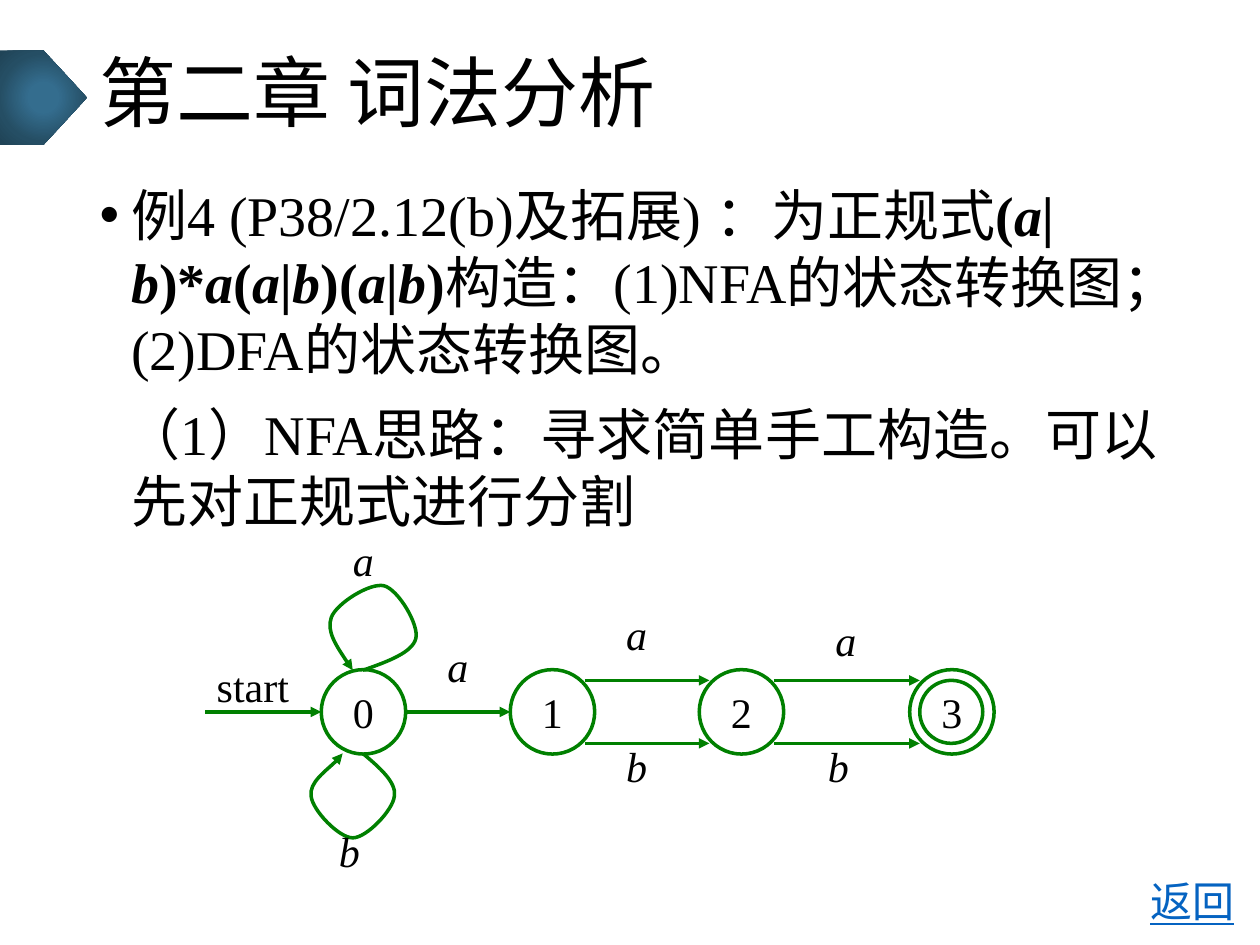
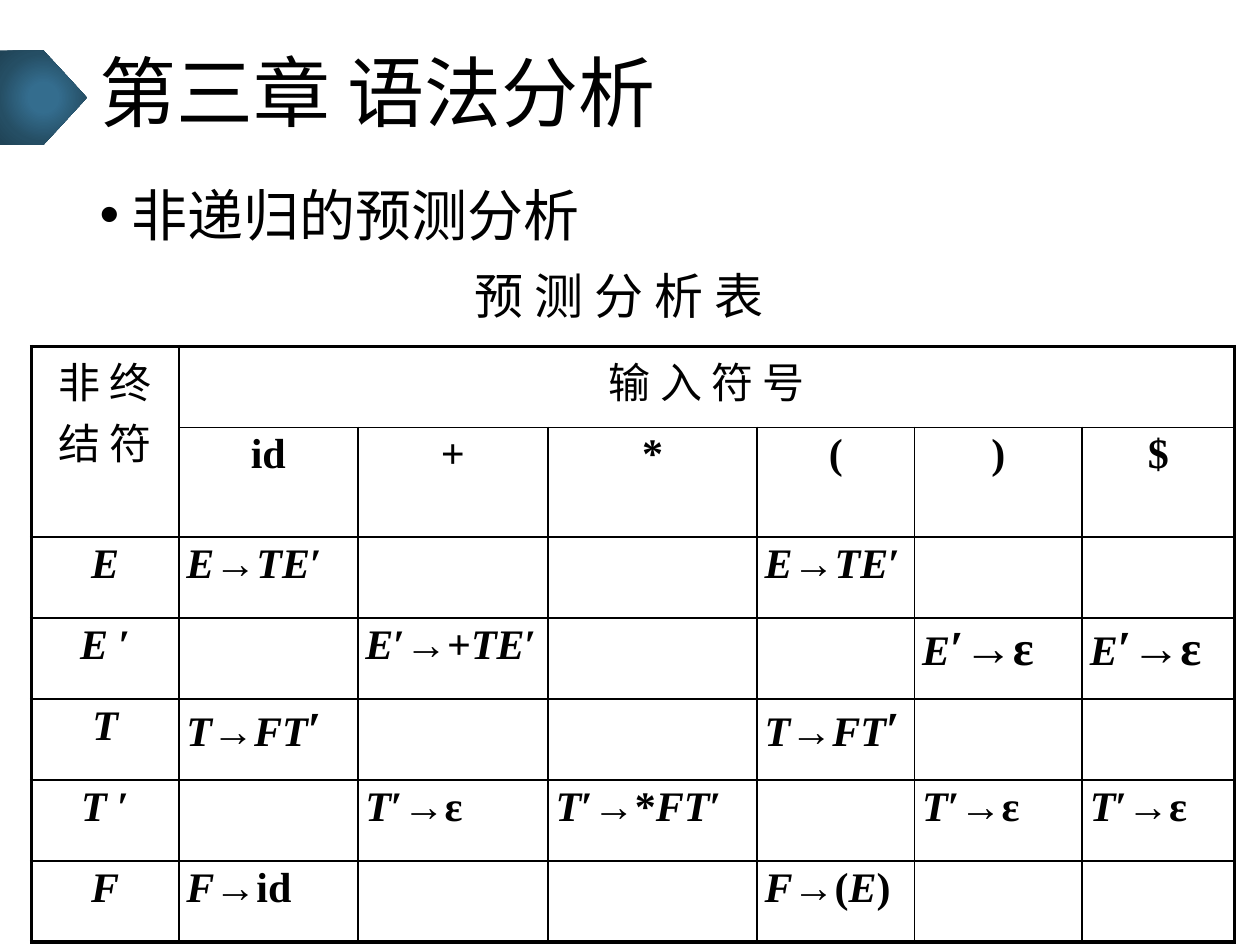
from itertools import groupby

from lxml.etree import SubElement
from pptx import Presentation
from pptx.dml.color import RGBColor
from pptx.enum.shapes import MSO_CONNECTOR as Connector, MSO_SHAPE as Shape
from pptx.enum.text import MSO_ANCHOR as Anchor, MSO_AUTO_SIZE as AutoSize, PP_ALIGN as Align
from pptx.oxml import parse_xml
from pptx.oxml.ns import nsdecls, qn
from pptx.util import Inches, Pt

FONT = "Times New Roman"
BLACK, GREEN, LINK = "000000", "008000", "0563C1"
BAND_STOPS = [(0, "346D8E"), (23, "346D8E"), (69, "254E64"), (97, "204457")]
TITLE_BOX = (0.69, 0.25, 8.62, 1.04)
BODY_BOX = (0.69, 1.38, 8.62, 5.38)


# Shared helpers
def color(code):
    return RGBColor.from_string(code)


def inches(*lengths):
    return [Inches(length) for length in lengths]


def set_font(font, size, code=BLACK, **flags):
    font.name, font.size = FONT, Pt(size)
    font.color.rgb = color(code)
    for flag, value in flags.items():
        setattr(font, flag, value)


def add_mixed_text(para, text, italic_chars):
    """Write runs, with italics for the given characters."""
    for italic, chars in groupby(text, lambda char: char in italic_chars):
        span = para.add_run()
        span.text = "".join(chars)
        span.font.italic = italic


def set_insets(target):
    target.margin_left = target.margin_right = Inches(0.06)
    target.margin_top = target.margin_bottom = Inches(0.03)


def add_label(page, text, box, size=24, align=Align.LEFT, wrap=False,
              code=BLACK, tight=True, **flags):
    label = page.shapes.add_textbox(*inches(*box))
    frame = label.text_frame
    frame.word_wrap = wrap
    frame.auto_size = AutoSize.SHAPE_TO_FIT_TEXT
    if tight:
        set_insets(frame)
    para = frame.paragraphs[0]
    para.text, para.alignment = text, align
    set_font(para.font, size, code, **flags)


def style_line(shape, arrow=False):
    shape.line.color.rgb = color(GREEN)
    shape.line.width = Pt(2)
    if arrow:
        SubElement(shape.line._get_or_add_ln(), qn("a:tailEnd"), type="triangle")


# Template: placeholder places and the arrow band on the master
def prepare_layout(deck):
    layout = deck.slide_layouts[1]
    for holder, box in zip(layout.placeholders, (TITLE_BOX, BODY_BOX)):
        holder.left, holder.top, holder.width, holder.height = inches(*box)
    return layout


def add_master_band(deck, page):
    band = page.shapes.add_shape(Shape.PENTAGON, *inches(0, 0.4, 0.69, 0.75))
    band.shadow.inherit = False
    band.line.fill.background()
    stops = "".join(f'<a:gs pos="{pos * 1000}"><a:srgbClr val="{code}"/></a:gs>'
                    for pos, code in BAND_STOPS)
    gradient = parse_xml(
        f'<a:gradFill {nsdecls("a")} rotWithShape="1"><a:gsLst>{stops}</a:gsLst>'
        '<a:path path="circle"><a:fillToRect l="50000" t="50000" r="50000" b="50000"/>'
        '</a:path></a:gradFill>')
    band.element.spPr.insert(2, gradient)
    band.element.nvSpPr.cNvPr.set("id", "20")
    deck.slide_master.shapes.element.append(band.element)


def add_page(deck, layout, title):
    page = deck.slides.add_slide(layout)
    frame = page.shapes.title.text_frame
    frame.vertical_anchor, frame.auto_size = Anchor.MIDDLE, AutoSize.NONE
    para = frame.paragraphs[0]
    para.text, para.alignment, para.line_spacing = title, Align.LEFT, 0.9
    set_font(para.font, 44)
    return page


def format_body_para(para, bullet):
    props = para._p.get_or_add_pPr()
    props.set("marL", str(Inches(0.25)))
    props.set("indent", str(Inches(-0.25 if bullet else -0.05)))
    para.line_spacing = 1.0
    para.space_before = Pt(0 if bullet else 10)
    if bullet:
        SubElement(props, qn("a:buFont"), typeface="Arial")
        SubElement(props, qn("a:buChar"), char="•")
    else:
        SubElement(props, qn("a:buNone"))
    set_font(para.font, 32)


def body_frame(page):
    frame = page.placeholders[1].text_frame
    frame.auto_size, frame.vertical_anchor = AutoSize.NONE, Anchor.TOP
    return frame


# Parts of the state diagram
def add_state(page, x, y, size, name=""):
    state = page.shapes.add_shape(Shape.OVAL, *inches(x, y, size, size))
    state.shadow.inherit = False
    state.fill.background()
    style_line(state)
    if name:
        frame = state.text_frame
        frame.word_wrap, frame.vertical_anchor = False, Anchor.MIDDLE
        set_insets(frame)
        para = frame.paragraphs[0]
        para.text, para.alignment = name, Align.CENTER
        set_font(para.font, 24)


def add_arrow(page, x1, x2, y):
    arrow = page.shapes.add_connector(Connector.STRAIGHT, *inches(x1, y, x2, y))
    style_line(arrow, arrow=True)
    SubElement(arrow.element.spPr, qn("a:effectLst"))


def add_loop(page, left, top, points):
    """Draw chained cubic curves; every third point is a joint."""
    placed = [inches(left + x, top + y) for x, y in points]
    builder = page.shapes.build_freeform(*placed[0])
    builder.add_line_segments(placed[1:], close=False)
    loop = builder.convert_to_shape()
    # Join each three straight segments into one curve
    segments = list(loop.element.iter(qn("a:lnTo")))
    outline = segments[0].getparent()
    for start in range(0, len(segments), 3):
        curve = SubElement(outline, qn("a:cubicBezTo"))
        for segment in segments[start:start + 3]:
            curve.append(segment[0])
            outline.remove(segment)
    loop.shadow.inherit = False
    loop.fill.background()
    style_line(loop, arrow=True)


def add_nfa(page, left, top):
    """Place the diagram; left and top are the start of the first arrow."""
    size, inner, edge = 0.67, 0.5, 0.08
    state_lefts = [left + x for x in (0.92, 2.42, 3.92, 5.59)]
    state_top = top - size / 2
    for number, x in enumerate(state_lefts):
        add_state(page, x, state_top, size, str(number))
    add_state(page, state_lefts[-1] + edge, top - inner / 2, inner)

    # Single arrows into states 0 and 1, double arrows into 2 and 3
    add_arrow(page, left, state_lefts[0], top)
    add_arrow(page, state_lefts[0] + size, state_lefts[1], top)
    for source, target in zip(state_lefts[1:], state_lefts[2:]):
        for y in (top - inner / 2, top + inner / 2):
            add_arrow(page, source + size - edge, target + edge, y)

    # Loops on state 0
    add_loop(page, left, top, [
        (1.25, -0.33), (1.45, -0.4), (1.64, -0.47), (1.67, -0.58),
        (1.7, -0.69), (1.53, -0.97), (1.42, -1), (1.31, -1.03),
        (1.04, -0.86), (1, -0.75), (0.96, -0.64), (1.06, -0.49), (1.17, -0.33)])
    add_loop(page, left, top, [
        (1.25, 0.33), (1.38, 0.44), (1.52, 0.56), (1.5, 0.67),
        (1.49, 0.78), (1.28, 1), (1.17, 1), (1.06, 1),
        (0.85, 0.78), (0.84, 0.67), (0.82, 0.56), (1.06, 0.39), (1.09, 0.33)])

    add_label(page, "start", (left + 0.03, top - 0.44, 0.78, 0.46))
    for text, x, y in [("a", 1.11, -1.44), ("b", 1, 0.87), ("a", 1.86, -0.6),
                       ("a", 3.28, -0.85), ("b", 3.28, 0.2),
                       ("a", 4.94, -0.8), ("b", 4.88, 0.2)]:
        add_label(page, text, (left + x, top + y, 0.28, 0.46), italic=True)


# Parts of the parsing table
HEADS = ["id", "+", "*", "(", ")", "$"]
PRODUCTIONS = [
    ["E", "E→TE′", "", "", "E→TE′", "", ""],
    ["E ′", "", "E′→+TE′", "", "", "E′→ε", "E′→ε"],
    ["T", "T→FT′", "", "", "T→FT′", "", ""],
    ["T ′", "", "T′→ε", "T′→*FT′", "", "T′→ε", "T′→ε"],
    ["F", "F→id", "", "", "F→(E)", "", ""],
]
# Characters set at 28 points, by row and column
LARGE_MARKS = {(3, 5): "′→ε", (3, 6): "′→ε", (4, 1): "′", (4, 4): "′"}
COLUMN_WIDTHS = [1.17, 1.42, 1.51, 1.66, 1.25, 1.33, 1.21]
ROW_HEIGHT = 4.5 / 7
ROW_HEIGHTS = [ROW_HEIGHT, 0.87] + [ROW_HEIGHT] * 5


def set_borders(cell, outer_sides):
    props = cell._tc.get_or_add_tcPr()
    for side in "LRTB":
        width = Pt(2.25 if side in outer_sides else 1)
        line = SubElement(props, qn(f"a:ln{side}"), w=str(width))
        fill = SubElement(line, qn("a:solidFill"))
        SubElement(fill, qn("a:srgbClr"), val=BLACK)


def fill_cell(cell, row, col, text):
    para = cell.text_frame.paragraphs[0]
    para.alignment = Align.CENTER if row < 2 or col == 0 else Align.LEFT
    set_font(para.font, 24, bold=row > 0)
    add_mixed_text(para, text, "EFT")
    for span in para.runs:
        if span.text[0] in LARGE_MARKS.get((row, col), ""):
            # The arrow before FT keeps the cell's size
            span.font.size = Pt(28)
    set_insets(cell)


def add_parsing_table(page, left, top):
    rows = [["非 终结 符", "输 入 符 号"] + [""] * 5, [""] + HEADS] + PRODUCTIONS
    size = (sum(COLUMN_WIDTHS), sum(ROW_HEIGHTS))
    table = page.shapes.add_table(len(rows), len(COLUMN_WIDTHS),
                                  *inches(left, top, *size)).table
    table.first_row = table.horz_banding = False
    for column, width in zip(table.columns, COLUMN_WIDTHS):
        column.width = Inches(width)
    for line, height in zip(table.rows, ROW_HEIGHTS):
        line.height = Inches(height)
    table.cell(0, 0).merge(table.cell(1, 0))
    table.cell(0, 1).merge(table.cell(0, 6))

    for row, texts in enumerate(rows):
        for col, text in enumerate(texts):
            cell = table.cell(row, col)
            edges = {"L": col == 0, "T": row == 0,
                     "R": col + cell.span_width == len(texts),
                     "B": row + cell.span_height == len(rows)}
            set_borders(cell, [side for side, outer in edges.items() if outer])
            cell.fill.background()
            if text:
                fill_cell(cell, row, col, text)


# Slides
def build_lexical_page(page):
    frame = body_frame(page)
    task, idea = frame.paragraphs[0], frame.add_paragraph()
    format_body_para(task, bullet=True)
    task.add_run().text = "例4 (P38/2.12(b)及拓展) ：为正规式"
    start = len(task.runs)
    add_mixed_text(task, "(a|b)*a(a|b)(a|b)", "a|b")
    for span in task.runs[start:]:
        span.font.bold = True
    task.add_run().text = "构造：(1)NFA的状态转换图；(2)DFA的状态转换图。"
    format_body_para(idea, bullet=False)
    idea.add_run().text = "（1）NFA思路：寻求简单手工构造。可以先对正规式进行分割"
    add_nfa(page, 1.63, 5.65)
    add_label(page, "返回", (9.03, 6.9, 0.88, 0.5), code=LINK, tight=False, underline=True)


def build_syntax_page(page):
    para = body_frame(page).paragraphs[0]
    format_body_para(para, bullet=True)
    para.add_run().text = "非递归的预测分析"
    add_label(page, "预 测 分 析 表", (3.25, 2.08, 3.33, 0.53), 28, Align.CENTER, wrap=True)
    add_parsing_table(page, 0.25, 2.75)


def main():
    deck = Presentation()
    deck.slide_width, deck.slide_height = inches(10, 7.5)
    layout = prepare_layout(deck)
    lexical_page = add_page(deck, layout, "第二章 词法分析")
    add_master_band(deck, lexical_page)
    build_lexical_page(lexical_page)
    build_syntax_page(add_page(deck, layout, "第三章 语法分析"))
    deck.save("out.pptx")


if __name__ == "__main__":
    main()
